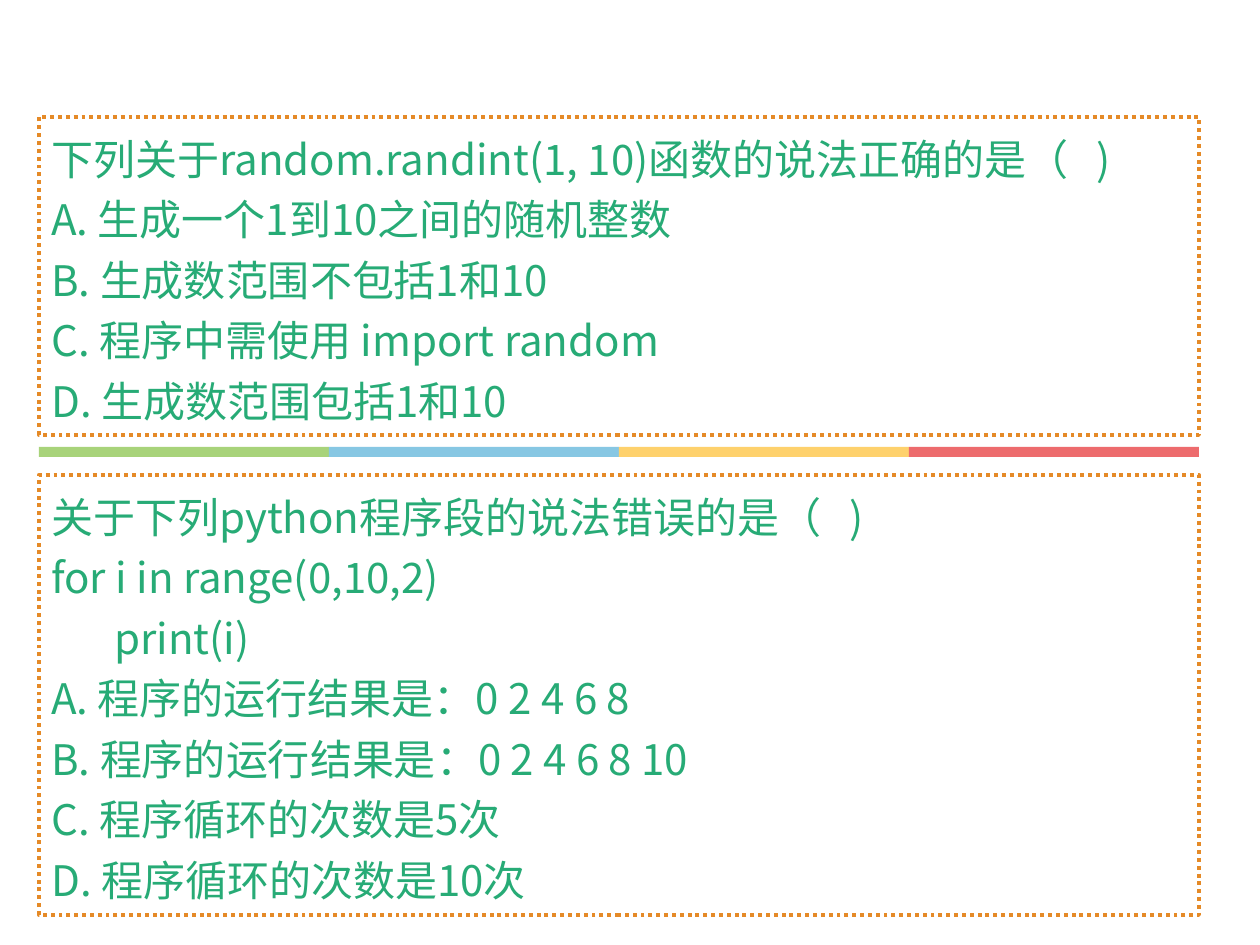
"""Build a quiz slide with two Python multiple-choice questions."""
from lxml import etree
from pptx import Presentation
from pptx.dml.color import RGBColor
from pptx.enum.dml import MSO_LINE
from pptx.enum.shapes import MSO_SHAPE
from pptx.enum.text import MSO_ANCHOR, MSO_AUTO_SIZE
from pptx.oxml.ns import qn
from pptx.util import Inches, Pt

PX = Inches(1) // 126
RECTANGLE = MSO_SHAPE.RECTANGLE
DOTTED = MSO_LINE.ROUND_DOT
TOP = MSO_ANCHOR.TOP
GROW = MSO_AUTO_SIZE.SHAPE_TO_FIT_TEXT

GREEN = RGBColor(0x27, 0xAB, 0x76)
ORANGE = RGBColor(0xE5, 0x8A, 0x27)
STRIPE_COLORS = [
    RGBColor(0xA8, 0xD3, 0x7A),
    RGBColor(0x87, 0xC7, 0xE3),
    RGBColor(0xFE, 0xD1, 0x6C),
    RGBColor(0xED, 0x6B, 0x6D),
]
FONT = "Noto Sans CJK SC"
LEFT, WIDTH = 39, 1160

RANDINT_QUESTION = [
    "下列关于random.randint(1, 10)函数的说法正确的是（   )",
    "A. 生成一个1到10之间的随机整数",
    "B. 生成数范围不包括1和10",
    "C. 程序中需使用 import random",
    "D. 生成数范围包括1和10",
]
LOOP_QUESTION = [
    "关于下列python程序段的说法错误的是（   )",
    "for i in range(0,10,2)",
    "\tprint(i)",
    "A. 程序的运行结果是：0 2 4 6 8",
    "B. 程序的运行结果是：0 2 4 6 8 10",
    "C. 程序循环的次数是5次",
    "D. 程序循环的次数是10次",
]


def write_line(paragraph, text, size=24, color=GREEN, font=FONT, spacing=1.2):
    paragraph.line_spacing = spacing
    run = paragraph.add_run()
    run.text = text
    run.font.size = Pt(size)
    run.font.color.rgb = color
    run.font.name = font
    etree.SubElement(run.font._element, qn("a:ea"), typeface=font)


prs = Presentation()
prs.slide_width, prs.slide_height = Inches(10), Inches(7.5)
slide = prs.slides.add_slide(prs.slide_layouts[6])

for top, height, lines in [(117, 318, RANDINT_QUESTION), (475, 440, LOOP_QUESTION)]:
    question = slide.shapes.add_textbox(LEFT * PX, top * PX, WIDTH * PX, height * PX)
    question.line.color.rgb = ORANGE
    question.line.width = Pt(2.25)
    question.line.dash_style = DOTTED
    frame = question.text_frame
    frame.word_wrap = True
    frame.auto_size = GROW
    frame.vertical_anchor = TOP
    for index, line in enumerate(lines):
        paragraph = frame.add_paragraph() if index else frame.paragraphs[0]
        write_line(paragraph, line)

stripe_width = WIDTH // len(STRIPE_COLORS)
for index, color in enumerate(STRIPE_COLORS):
    stripe = slide.shapes.add_shape(
        RECTANGLE, (LEFT + index * stripe_width) * PX, 447 * PX, stripe_width * PX, 10 * PX
    )
    stripe.shadow.inherit = False
    stripe.fill.solid()
    stripe.fill.fore_color.rgb = color
    stripe.line.fill.background()

prs.save("out.pptx")
